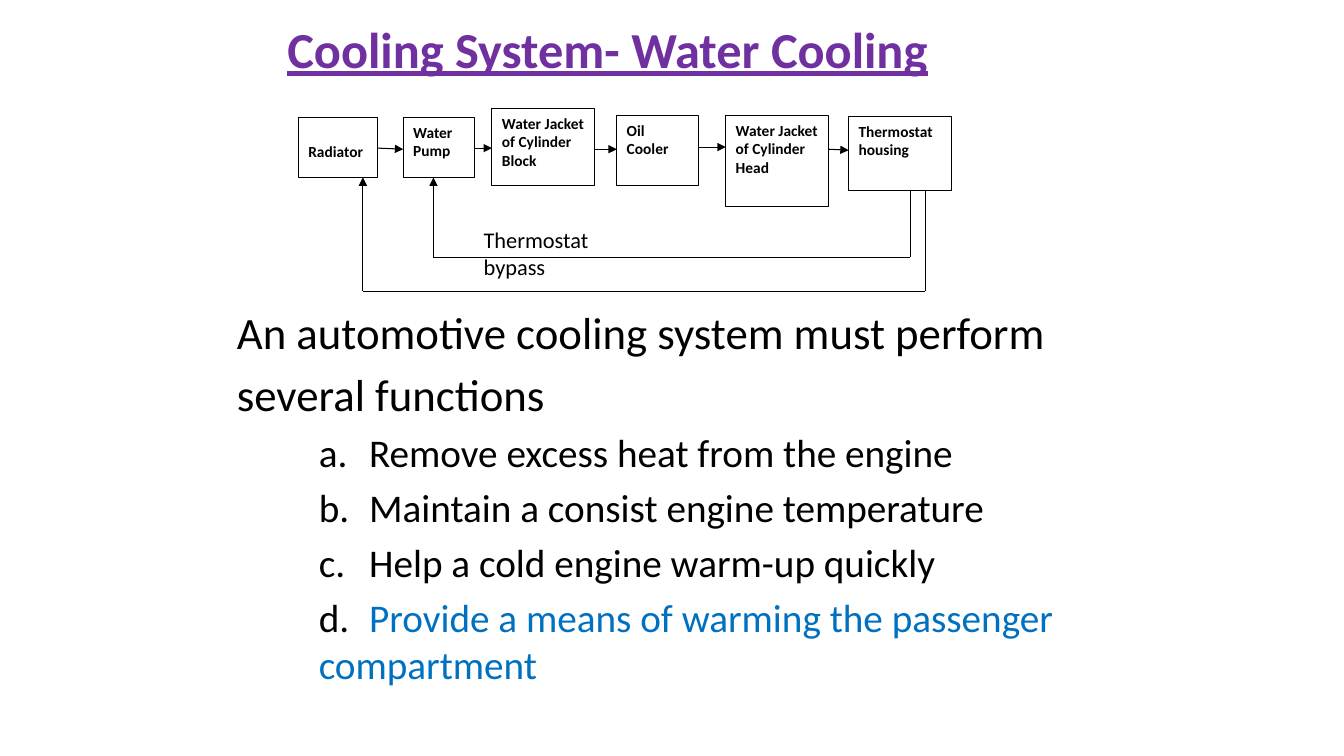
"""Build the water cooling slide: a flow diagram above a list of functions."""
from dataclasses import dataclass
from itertools import pairwise

from lxml import etree
from pptx import Presentation
from pptx.dml.color import RGBColor
from pptx.enum import shapes, text
from pptx.oxml.ns import qn
from pptx.util import Pt

HUES = {"ink": "000000", "paper": "FFFFFF", "title": "7030A0", "note": "0070C0"}
LINE = 0.75
TOP = 126.75


@dataclass
class Part:
    """A component box; out and into are the heights of its arrows."""
    name: str
    left: float
    top: float
    width: float
    height: float
    into: float
    out: float
    inset: float = 3.6


@dataclass
class Loop:
    """A return pipe running below the boxes."""
    start: float
    end: float
    base: float


@dataclass
class Item:
    """A lettered function of the cooling system."""
    mark: str
    words: str
    hue: str = "ink"


PARTS = [
    Part("Radiator", 213.1, 84.2, 56.9, 42.5, 105.8, 105.8, 17),
    Part("Water Pump", 288, 84.2, 51.1, 42.5, 106.6, 105.8),
    Part("Water Jacket of Cylinder Block", 351.4, 77.8, 73.4, 54.7, 105.8, 106.6),
    Part("Oil Cooler", 440.6, 82.8, 58.3, 49.7, 106.6, 105.1),
    Part("Water Jacket of Cylinder Head", 518.4, 82.8, 73.4, 64.8, 105.1, 106.6),
    Part("Thermostat housing", 606.2, 83.5, 73.4, 52.6, 107.3, 107.3),
]
LOOPS = [Loop(650.2, 309.6, 183.9), Loop(661, 259.2, 208.1)]
LEADS = ["An automotive cooling system must perform", "several functions"]
ITEMS = [
    Item("a.", "Remove excess heat from the engine"),
    Item("b.", "Maintain a consist engine temperature"),
    Item("c.", "Help a cold engine warm-up quickly"),
    Item("d.", "Provide a means of warming the passenger compartment", "note"),
]


def tint(name: str) -> RGBColor:
    """Return a named colour."""
    return RGBColor.from_string(HUES[name])


def style(para, size: float, hue: str = "ink", bold: bool = False) -> None:
    """Set the font and left alignment of a paragraph."""
    para.alignment = text.PP_ALIGN.LEFT
    font = para.font
    font.name, font.size, font.bold = "Calibri", Pt(size), bold
    font.color.rgb = tint(hue)


def indent(para, margin: float, stop: float = 0) -> None:
    """Remove the bullet and set the margin and tab stop of a paragraph."""
    props = para._p.get_or_add_pPr()
    props.set("marL", str(Pt(margin)))
    props.set("indent", "0")
    etree.SubElement(props, qn("a:buNone"))
    if stop:
        tabs = etree.SubElement(props, qn("a:tabLst"))
        etree.SubElement(tabs, qn("a:tab"), pos=str(Pt(stop)), algn="l")


def place(shape, left: float, top: float, width: float, height: float) -> None:
    """Move and size a shape."""
    shape.left, shape.top = Pt(left), Pt(top)
    shape.width, shape.height = Pt(width), Pt(height)


def link(slide, x: float, y: float, to_x: float, to_y: float, head: bool = False) -> None:
    """Draw a straight line, with an arrowhead at its end if asked."""
    line = slide.shapes.add_connector(
        shapes.MSO_CONNECTOR.STRAIGHT, Pt(x), Pt(y), Pt(to_x), Pt(to_y))
    line.line.color.rgb = tint("ink")
    line.line.width = Pt(LINE)
    if head:
        etree.SubElement(line.line._get_or_add_ln(), qn("a:tailEnd"), type="triangle")
    etree.SubElement(line._element.spPr, qn("a:effectLst"))


def box(slide, part: Part) -> None:
    """Draw a component box."""
    shape = slide.shapes.add_shape(
        shapes.MSO_SHAPE.RECTANGLE, Pt(part.left), Pt(part.top),
        Pt(part.width), Pt(part.height))
    shape.shadow.inherit = False
    shape.fill.solid()
    shape.fill.fore_color.rgb = tint("paper")
    shape.line.color.rgb = tint("ink")
    shape.line.width = Pt(LINE)
    frame = shape.text_frame
    frame.word_wrap = True
    frame.vertical_anchor = text.MSO_ANCHOR.TOP
    frame.margin_top = Pt(part.inset)
    frame.text = part.name
    style(frame.paragraphs[0], 11, bold=True)


def pipe(slide, loop: Loop) -> None:
    """Draw a return pipe as three lines ending in an arrow."""
    link(slide, loop.start, 136.5, loop.start, loop.base)
    link(slide, loop.start, loop.base, loop.end, loop.base)
    link(slide, loop.end, loop.base, loop.end, TOP, True)


def head(slide) -> None:
    """Fill the title."""
    title = slide.shapes.title
    place(title, 198, 12.25, 588, 44.6)
    frame = title.text_frame
    frame.auto_size = text.MSO_AUTO_SIZE.NONE
    frame.vertical_anchor = text.MSO_ANCHOR.MIDDLE
    frame.text = "Cooling System- Water Cooling"
    para = frame.paragraphs[0]
    style(para, 36, "title", True)
    para.font.underline = True


def label(slide) -> None:
    """Name the bypass pipe."""
    shape = slide.shapes.add_textbox(Pt(338.4), Pt(158), Pt(152), Pt(27))
    frame = shape.text_frame
    frame.word_wrap = True
    frame.text = "Thermostat\tbypass"
    para = frame.paragraphs[0]
    indent(para, 0, 85.7)
    style(para, 16)


def body(slide) -> None:
    """Fill the list of functions."""
    holder = slide.placeholders[1]
    place(holder, 162, 213.8, 648, 313.2)
    frame = holder.text_frame
    frame.auto_size = text.MSO_AUTO_SIZE.NONE
    for order, lead in enumerate(LEADS):
        para = frame.add_paragraph() if order else frame.paragraphs[0]
        para.text = lead
        indent(para, 0)
        para.space_before = Pt(6.4 if order else 0)
        style(para, 32)
    for item in ITEMS:
        para = frame.add_paragraph()
        para.level = 1
        para.add_run().text = f"{item.mark}\t"
        run = para.add_run()
        run.text = item.words
        indent(para, 58.5, 104.5)
        para.space_before = Pt(5.6)
        style(para, 28)
        if item.hue != "ink":
            run.font.color.rgb = tint(item.hue)


def main() -> None:
    """Build and save the slide."""
    deck = Presentation()
    deck.slide_width, deck.slide_height = Pt(960), Pt(540)
    slide = deck.slides.add_slide(deck.slide_layouts[1])
    head(slide)
    for one, two in pairwise(PARTS):
        link(slide, one.left + one.width, one.out, two.left, two.into, True)
    for part in PARTS:
        box(slide, part)
    for loop in LOOPS:
        pipe(slide, loop)
    label(slide)
    body(slide)
    deck.save("out.pptx")


if __name__ == "__main__":
    main()
